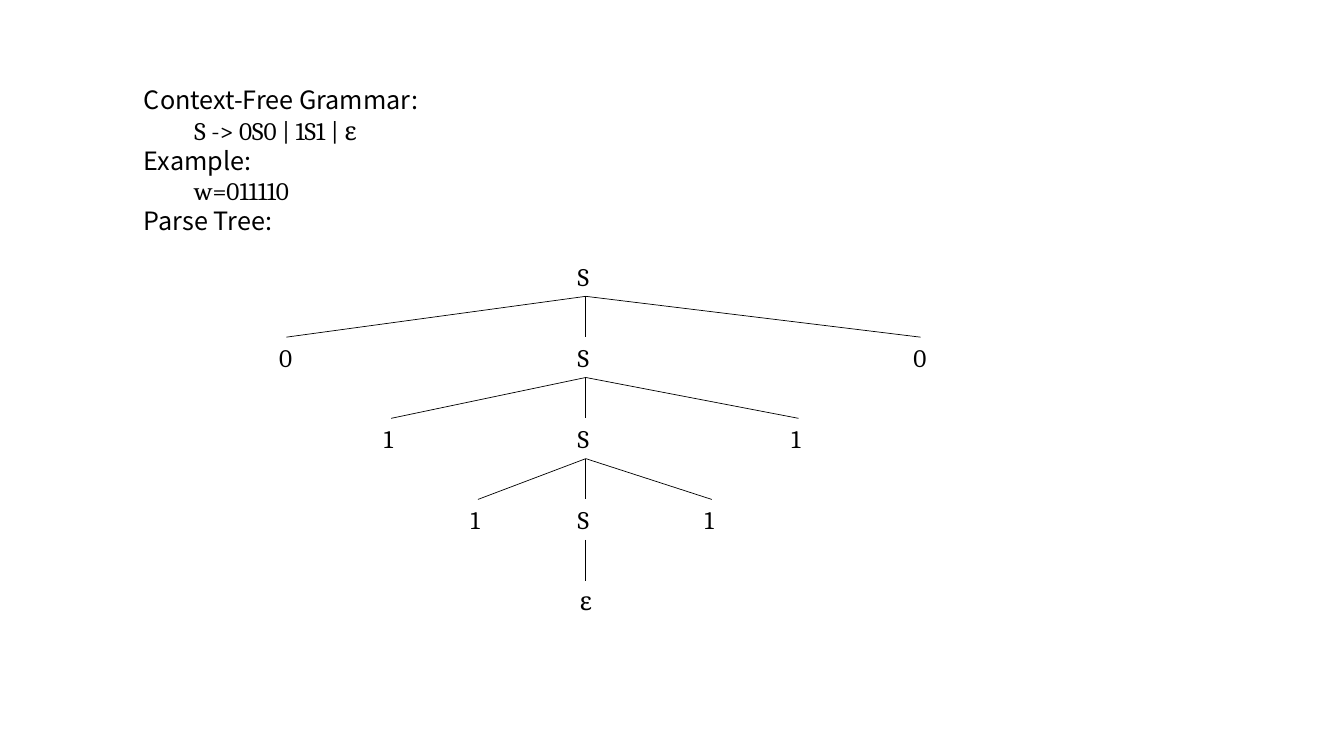
import pptx
import pptx.dml.color
import pptx.enum.shapes
import pptx.enum.text
import pptx.oxml.ns
import pptx.util
from lxml import etree

Inches = pptx.util.Inches

COLOURS = {"ink": "000000"}
HEADING_FONT = "Noto Sans CJK SC"
FORMULA_FONT = "Cambria"

INTRO = [
    ("Context-Free Grammar:", HEADING_FONT),
    ("\tS -> 0S0 | 1S1 | ε", FORMULA_FONT),
    ("Example:", HEADING_FONT),
    ("\tw=011110", FORMULA_FONT),
    ("Parse Tree:", HEADING_FONT),
]

# Each level of the parse tree lists its symbols with their centre positions.
AXIS = 5.81
LEVELS = [
    [("S", AXIS)],
    [("0", 2.84), ("S", AXIS), ("0", 9.13)],
    [("1", 3.88), ("S", AXIS), ("1", 7.92)],
    [("1", 4.74), ("S", AXIS), ("1", 7.06)],
    [("ε", AXIS)],
]
NODE_WIDTHS = {"S": 0.36, "0": 0.34, "1": 0.34, "ε": 0.32}
NODE_HEIGHT = 0.4
TREE_TOP = 2.54
LEVEL_STEP = 0.805


def ink():
    """Return the colour of text and branches."""
    return pptx.dml.color.RGBColor.from_string(COLOURS["ink"])


def add_text(shapes, lines, left, top, width, height, wrap):
    """Add a text box with one paragraph for each (text, font) line."""
    box = shapes.add_textbox(Inches(left), Inches(top), Inches(width), Inches(height))
    frame = box.text_frame
    frame.word_wrap = wrap
    frame.auto_size = pptx.enum.text.MSO_AUTO_SIZE.SHAPE_TO_FIT_TEXT
    frame.text = "\n".join(text for text, font in lines)
    for para, (text, font) in zip(frame.paragraphs, lines):
        for span in para.runs:
            span.font.name = font
            span.font.size = pptx.util.Pt(18)
            span.font.color.rgb = ink()


def add_branch(shapes, start, end):
    """Join two (x, y) points with a thin line."""
    branch = shapes.add_connector(
        pptx.enum.shapes.MSO_CONNECTOR.STRAIGHT, *map(Inches, start + end))
    branch.line.color.rgb = ink()
    branch.line.width = pptx.util.Pt(0.5)
    etree.SubElement(branch._element.spPr, pptx.oxml.ns.qn("a:effectLst"))


def add_tree(shapes):
    """Draw the symbols level by level, each joined to the S above."""
    for depth, level in enumerate(LEVELS):
        top = TREE_TOP + depth * LEVEL_STEP
        parent = (AXIS, top - LEVEL_STEP + NODE_HEIGHT)
        for symbol, centre in level:
            width = NODE_WIDTHS[symbol]
            add_text(shapes, [(symbol, FORMULA_FONT)], centre - width / 2, top,
                     width, NODE_HEIGHT, wrap=False)
            if depth:
                add_branch(shapes, parent, (centre, top))


deck = pptx.Presentation()
deck.slide_width = Inches(13.33)
deck.slide_height = Inches(7.5)
page = deck.slides.add_slide(deck.slide_layouts[6])

add_text(page.shapes, INTRO, 1.33, 0.79, 4.14, 1.92, wrap=True)
add_tree(page.shapes.add_group_shape().shapes)

deck.save("out.pptx")
